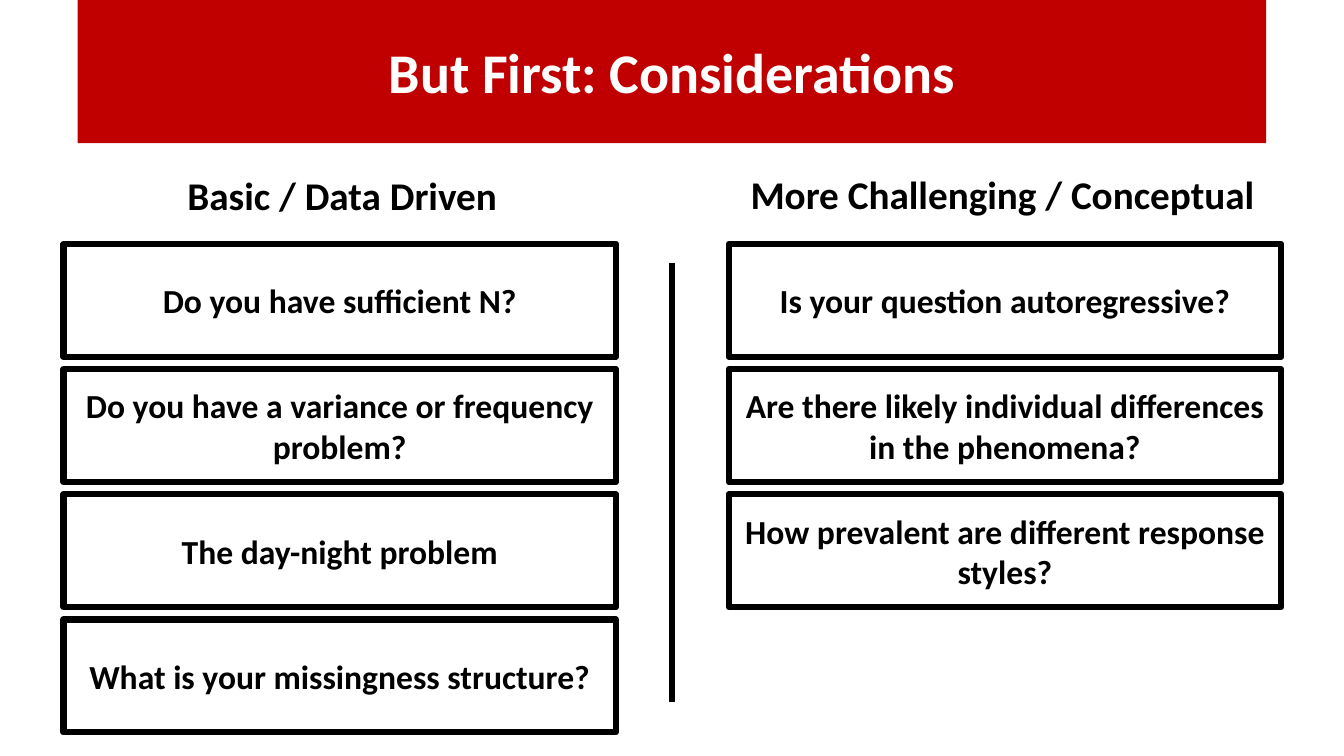
import pptx
import pptx.dml.color
import pptx.enum.shapes
import pptx.enum.text
import pptx.oxml
import pptx.oxml.ns
import pptx.util

Pt = pptx.util.Pt
RGBColor = pptx.dml.color.RGBColor

RED = RGBColor(0xC0, 0x00, 0x00)
WHITE = RGBColor(0xFF, 0xFF, 0xFF)
BLACK = RGBColor(0x00, 0x00, 0x00)

BOX_TOP, BOX_WIDTH, BOX_HEIGHT, BOX_PITCH = 174.24, 394.56, 80.64, 89.4

# Each column: heading, heading left and top, box left, questions
COLUMNS = [
    ("Basic / Data Driven", 48.96, 122.4, 45.36, [
        "Do you have sufficient N?",
        "Do you have a variance or frequency problem?",
        "The day-night problem",
        "What is your missingness structure?",
    ]),
    ("More Challenging / Conceptual", 520.56, 121.68, 520.56, [
        "Is your question autoregressive?",
        "Are there likely individual differences in the phenomena?",
        "How prevalent are different response styles?",
    ]),
]


class ConsiderationsSlide:
    font = "Calibri"
    line_width = Pt(4.5)

    def __init__(self, deck):
        self.slide = deck.slides.add_slide(deck.slide_layouts[5])

    def label(self, shape, text, size, color):
        frame = shape.text_frame
        frame.word_wrap = True
        frame.auto_size = pptx.enum.text.MSO_AUTO_SIZE.NONE
        frame.vertical_anchor = pptx.enum.text.MSO_ANCHOR.MIDDLE
        paragraph = frame.paragraphs[0]
        paragraph.alignment = pptx.enum.text.PP_ALIGN.CENTER
        run = paragraph.add_run()
        run.text = text
        run.font.name = self.font
        run.font.size = Pt(size)
        run.font.bold = True
        run.font.color.rgb = color

    def title(self, text, left, top, width, height):
        banner = self.slide.shapes.title
        banner.left, banner.top = Pt(left), Pt(top)
        banner.width, banner.height = Pt(width), Pt(height)
        banner.fill.solid()
        banner.fill.fore_color.rgb = RED
        self.label(banner, text, 40, WHITE)

    def box(self, text, left, top, width, height, size, outlined=True):
        box = self.slide.shapes.add_shape(
            pptx.enum.shapes.MSO_SHAPE.RECTANGLE,
            Pt(left), Pt(top), Pt(width), Pt(height))
        box.shadow.inherit = False
        box.fill.solid()
        box.fill.fore_color.rgb = WHITE
        if outlined:
            box.line.color.rgb = BLACK
            box.line.width = self.line_width
        else:
            box.line.fill.background()
        self.label(box, text, size, BLACK)

    def divider(self, x, top, bottom):
        divider = self.slide.shapes.add_connector(
            pptx.enum.shapes.MSO_CONNECTOR.STRAIGHT,
            Pt(x), Pt(top), Pt(x), Pt(bottom))
        divider.line.color.rgb = BLACK
        divider.line.width = self.line_width
        # An empty effect list removes the theme shadow
        properties = divider._element.spPr
        properties.append(properties.makeelement(
            pptx.oxml.ns.qn("a:effectLst"), {}))


def main():
    deck = pptx.Presentation()
    deck.slide_width, deck.slide_height = Pt(960), Pt(540)
    page = ConsiderationsSlide(deck)

    # Title banner
    page.title("But First: Considerations", 55.44, 0, 848.88, 102.24)

    # Two columns of questions
    for heading, heading_left, heading_top, box_left, questions in COLUMNS:
        for row, question in enumerate(questions):
            page.box(question, box_left, BOX_TOP + row * BOX_PITCH,
                     BOX_WIDTH, BOX_HEIGHT, 24)
        page.box(heading, heading_left, heading_top, 390.96, 33.12, 28,
                 outlined=False)

    # Line between the columns
    page.divider(480, 187.92, 501.12)

    deck.save("out.pptx")


if __name__ == "__main__":
    main()
